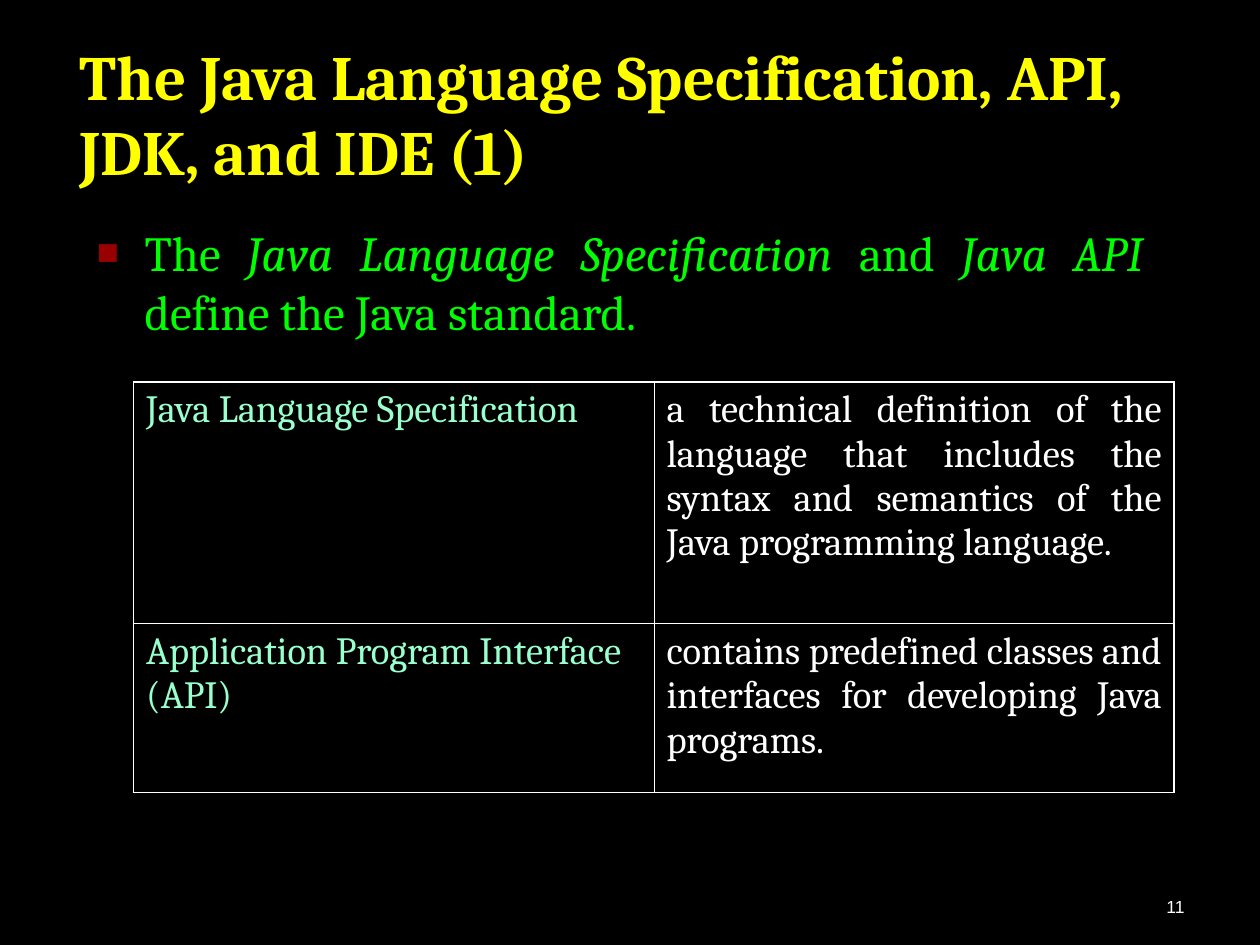
from lxml import etree
from pptx import Presentation
from pptx import util as u
from pptx.dml.color import RGBColor
from pptx.enum import text
from pptx.oxml import ns

BLACK = RGBColor(0x00, 0x00, 0x00)
WHITE = RGBColor(0xFF, 0xFF, 0xFF)
YELLOW = RGBColor(0xFF, 0xFF, 0x00)
GREEN = RGBColor(0x00, 0xFF, 0x00)
MINT = RGBColor(0x99, 0xFF, 0xCC)
DARK_RED = RGBColor(0x99, 0x00, 0x00)
ALIGN = text.PP_ALIGN
ANCHOR = text.MSO_ANCHOR
OUTER, INNER = 1.08, 0.45

DEFINITIONS = [
    ("Java Language Specification",
     "a technical definition of the language that includes the syntax and "
     "semantics of the Java programming language. "),
    ("Application Program Interface (API)",
     "contains predefined classes and interfaces for developing Java programs."),
]
STATEMENT = [
    ("The ", False),
    ("Java Language Specification", True),
    (" and ", False),
    ("Java API", True),
    (" define the Java standard.", False),
]


def sub(parent, tag, **attributes):
    return etree.SubElement(parent, ns.qn(tag), attributes)


class SlideBuilder:
    font = "Cambria"

    def __init__(self, deck):
        self.slide = deck.slides.add_slide(deck.slide_layouts[5])
        background = self.slide.background.fill
        background.solid()
        background.fore_color.rgb = BLACK

    def add_runs(self, paragraph, runs, size, color, bold=False, font=None, **layout):
        for name, value in layout.items():
            setattr(paragraph, name, value)
        for wording, italic in runs:
            run = paragraph.add_run()
            run.text = wording
            style = {"name": font or self.font, "size": u.Pt(size),
                     "bold": bold, "italic": italic}
            for name, value in style.items():
                setattr(run.font, name, value)
            run.font.color.rgb = color

    def frame(self, shape, anchor):
        options = {"word_wrap": True, "auto_size": text.MSO_AUTO_SIZE.NONE,
                   "vertical_anchor": anchor}
        for name, value in options.items():
            setattr(shape.text_frame, name, value)
        return shape.text_frame.paragraphs[0]

    def title(self, wording, left, top, width, height):
        heading = self.slide.shapes.title
        place = {"left": left, "top": top, "width": width, "height": height}
        for name, value in place.items():
            setattr(heading, name, u.Inches(value))
        self.add_runs(self.frame(heading, ANCHOR.MIDDLE), [(wording, False)],
                      36, YELLOW, bold=True, alignment=ALIGN.LEFT)

    def textbox(self, place, anchor):
        box = self.slide.shapes.add_textbox(*map(u.Inches, place))
        return box, self.frame(box, anchor)

    def bullet(self, runs, *place):
        box, paragraph = self.textbox(place, ANCHOR.TOP)
        box.fill.solid()
        box.fill.fore_color.rgb = BLACK
        self.add_runs(paragraph, runs, 28, GREEN, alignment=ALIGN.JUSTIFY,
                      space_before=u.Pt(17.5))
        properties = paragraph._p.get_or_add_pPr()
        properties.set("marL", str(u.Inches(0.38)))
        properties.set("indent", str(-u.Inches(0.38)))
        sub(sub(properties, "a:buClr"), "a:srgbClr", val=str(DARK_RED))
        sub(properties, "a:buSzPct", val="75000")
        sub(properties, "a:buFont", typeface="Arial")
        sub(properties, "a:buChar", char="■")

    def page_number(self, number, *place):
        _, paragraph = self.textbox(place, ANCHOR.BOTTOM)
        self.add_runs(paragraph, [(number, False)], 10, WHITE, font="Arial",
                      alignment=ALIGN.RIGHT)

    def borders(self, cell, widths):
        properties = cell._tc.get_or_add_tcPr()
        for side, width in widths.items():
            line = sub(properties, f"a:ln{side}", w=str(u.Pt(width)))
            sub(sub(line, "a:solidFill"), "a:srgbClr", val=str(WHITE))

    def definitions(self, entries, heights, *place):
        last = len(entries) - 1
        table = self.slide.shapes.add_table(
            len(entries), 2, *map(u.Inches, place)).table
        table.first_row = table.horz_banding = False
        formats = [
            {"color": MINT, "alignment": ALIGN.LEFT, "space_before": u.Pt(5.5)},
            {"color": WHITE, "alignment": ALIGN.JUSTIFY, "space_before": u.Pt(13.8)},
        ]
        for row, (entry, height) in enumerate(zip(entries, heights)):
            table.rows[row].height = u.Inches(height)
            for column, wording in enumerate(entry):
                cell = table.cell(row, column)
                self.borders(cell, {
                    "L": INNER if column else OUTER,
                    "R": OUTER if column else INNER,
                    "T": INNER if row else OUTER,
                    "B": OUTER if row == last else INNER,
                })
                cell.fill.background()
                self.add_runs(cell.text_frame.paragraphs[0], [(wording, False)],
                              22, **formats[column])


def main():
    deck = Presentation()
    deck.slide_width, deck.slide_height = u.Inches(10), u.Inches(7.5)
    builder = SlideBuilder(deck)
    builder.page_number("11", 7.42, 6.83, 2.08, 0.5)
    builder.bullet(STATEMENT, 0.67, 1.72, 8.5, 1.93)
    builder.title("The Java Language Specification, API, JDK, and IDE (1)",
                  0.53, 0.27, 9.25, 1.25)
    builder.definitions(DEFINITIONS, (1.92, 1.34), 1.06, 3.03, 8.26, 3.26)
    deck.save("out.pptx")


if __name__ == "__main__":
    main()
